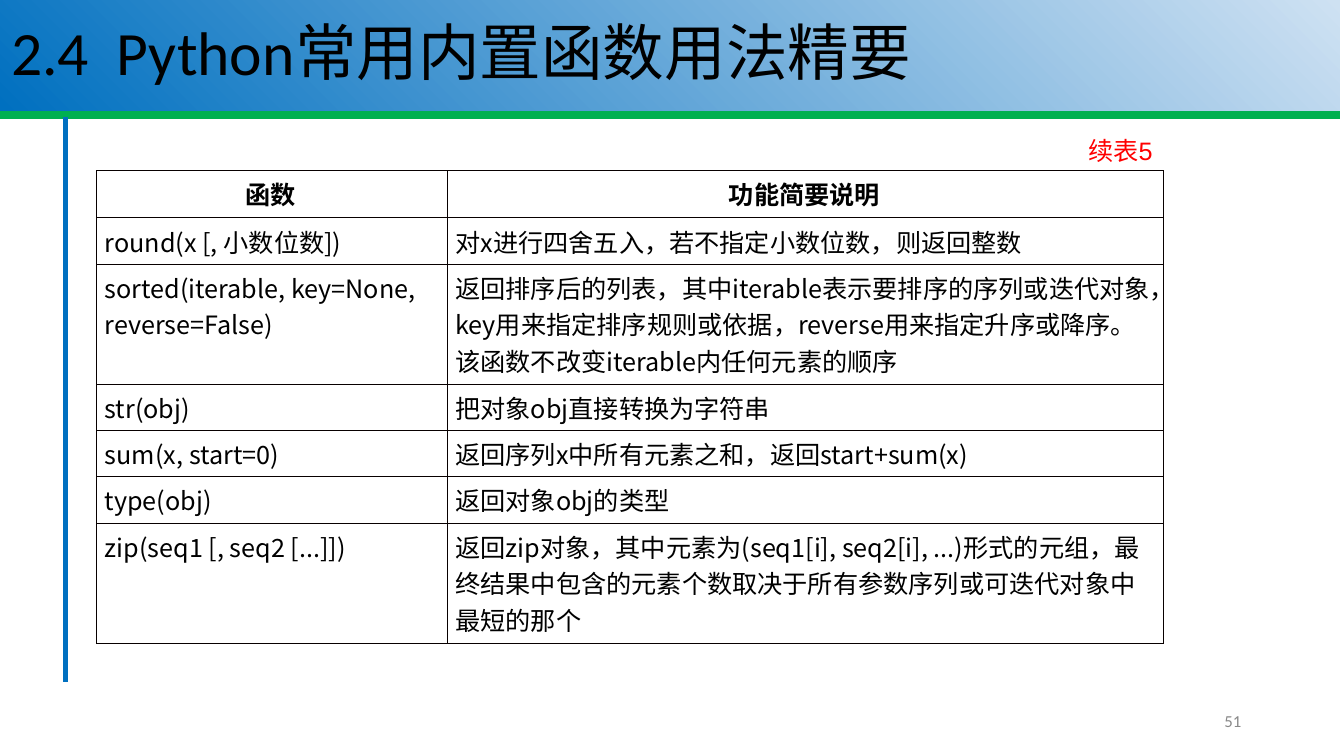
"""Build the slide of Python built-in functions, table part 5."""
import pptx
import pptx.dml.color
import pptx.enum.shapes
import pptx.enum.text
import pptx.oxml
import pptx.oxml.ns
import pptx.util

TITLE = "2.4\tPython常用内置函数用法精要"
CAPTION = "续表5"
PAGE = "51"
FUNCTIONS = [
    ("函数", "功能简要说明"),
    ("round(x [, 小数位数])", "对x进行四舍五入，若不指定小数位数，则返回整数"),
    ("sorted(iterable, key=None, reverse=False)",
     "返回排序后的列表，其中iterable表示要排序的序列或迭代对象，"
     "key用来指定排序规则或依据，reverse用来指定升序或降序。"
     "该函数不改变iterable内任何元素的顺序"),
    ("str(obj)", "把对象obj直接转换为字符串"),
    ("sum(x, start=0)", "返回序列x中所有元素之和，返回start+sum(x)"),
    ("type(obj)", "返回对象obj的类型"),
    ("zip(seq1 [, seq2 [...]])",
     "返回zip对象，其中元素为(seq1[i], seq2[i], ...)形式的元组，"
     "最终结果中包含的元素个数取决于所有参数序列或可迭代对象中最短的那个"),
]
COLUMN_WIDTHS = (348, 711)
ROW_HEIGHTS = (47, 46, 119, 46, 46, 46, 119)

THEME = {
    "ink": "000000", "caption": "FF0000", "page": "898989", "border": "080000",
    "green": "00B050", "blue": "0070C0", "pale": "CEE1F2",
    "title_size": 44, "body_size": 18, "page_size": 12,
    "title_font": "Calibri", "caption_font": "Arial", "cjk_font": "Noto Sans CJK SC",
}
EMU_PER_PX = 9144
BORDER_PT = 0.45
ALIGN = pptx.enum.text.PP_ALIGN
ANCHOR = pptx.enum.text.MSO_ANCHOR


def px(length):
    return pptx.util.Emu(length * EMU_PER_PX)


def rgb(name):
    return pptx.dml.color.RGBColor.from_string(THEME[name])


def element(parent, tag, **attributes):
    child = pptx.oxml.parse_xml(f"<{tag} {pptx.oxml.ns.nsdecls('a')}/>")
    for key, value in attributes.items():
        child.set(key, str(value))
    parent.append(child)
    return child


def write(frame, text, size="body_size", font="cjk_font", color="ink", bold=False,
          align=ALIGN.LEFT, anchor=ANCHOR.TOP, spacing=None, tab=None):
    frame.word_wrap = True
    frame.vertical_anchor = anchor
    paragraph = frame.paragraphs[0]
    if tab:
        stops = element(paragraph._p.get_or_add_pPr(), "a:tabLst")
        element(stops, "a:tab", pos=px(tab), algn="l")
    paragraph.alignment = align
    paragraph.line_spacing = spacing
    run = paragraph.add_run()
    run.text = text
    run.font.size = pptx.util.Pt(THEME[size])
    run.font.bold = bold
    run.font.color.rgb = rgb(color)
    run.font.name = THEME[font]
    element(run._r.get_or_add_rPr(), "a:ea", typeface=THEME["cjk_font"])


def rule(slide, start, end, color, width):
    line = slide.shapes.add_connector(
        pptx.enum.shapes.MSO_CONNECTOR.STRAIGHT, *map(px, start + end))
    line.line.color.rgb = rgb(color)
    line.line.width = pptx.util.Pt(width)
    element(line._element.spPr, "a:effectLst")


def banner(slide):
    band = slide.shapes.add_shape(
        pptx.enum.shapes.MSO_SHAPE.RECTANGLE, 0, 0, px(1330), px(110))
    band.shadow.inherit = False
    band.line.fill.background()
    band.fill.gradient()
    band.fill.gradient_angle = 225
    for stop, color in zip(band.fill.gradient_stops, ("pale", "blue")):
        stop.color.rgb = rgb(color)
    first, last = band.fill.gradient_stops
    first.position, last.position = 0, 1
    band.text_frame.margin_left = px(11)
    write(band.text_frame, TITLE, size="title_size", font="title_font",
          anchor=ANCHOR.MIDDLE, spacing=0.9, tab=105)


def function_table(slide):
    table = slide.shapes.add_table(
        len(FUNCTIONS), len(COLUMN_WIDTHS), px(96), px(169),
        px(sum(COLUMN_WIDTHS)), px(sum(ROW_HEIGHTS))).table
    table.first_row = table.horz_banding = False
    for column, width in zip(table.columns, COLUMN_WIDTHS):
        column.width = px(width)
    for row, height, texts in zip(table.rows, ROW_HEIGHTS, FUNCTIONS):
        row.height = px(height)
        header = texts is FUNCTIONS[0]
        for cell, text in zip(row.cells, texts):
            cell.margin_left = px(8)
            write(cell.text_frame, text, bold=header,
                  align=ALIGN.CENTER if header else ALIGN.LEFT)
            for side in "LRTB":
                edge = element(cell._tc.get_or_add_tcPr(), f"a:ln{side}",
                               w=pptx.util.Pt(BORDER_PT))
                element(element(edge, "a:solidFill"), "a:srgbClr", val=THEME["border"])
            cell.fill.background()


def text_box(slide, box, text, **style):
    write(slide.shapes.add_textbox(*map(px, box)).text_frame, text, **style)


def main():
    deck = pptx.Presentation()
    deck.slide_width, deck.slide_height = px(1334), px(750)
    slide = deck.slides.add_slide(deck.slide_layouts[6])
    rule(slide, (0, 114), (1330, 114), "green", 5.25)
    rule(slide, (65, 116), (65, 677), "blue", 3.75)
    banner(slide)
    text_box(slide, (942, 695, 300, 40), PAGE, size="page_size", font="title_font",
             color="page", align=ALIGN.RIGHT, anchor=ANCHOR.MIDDLE)
    function_table(slide)
    text_box(slide, (1010, 129, 144, 40), CAPTION, font="caption_font",
             color="caption", align=ALIGN.RIGHT)
    deck.save("out.pptx")


if __name__ == "__main__":
    main()
